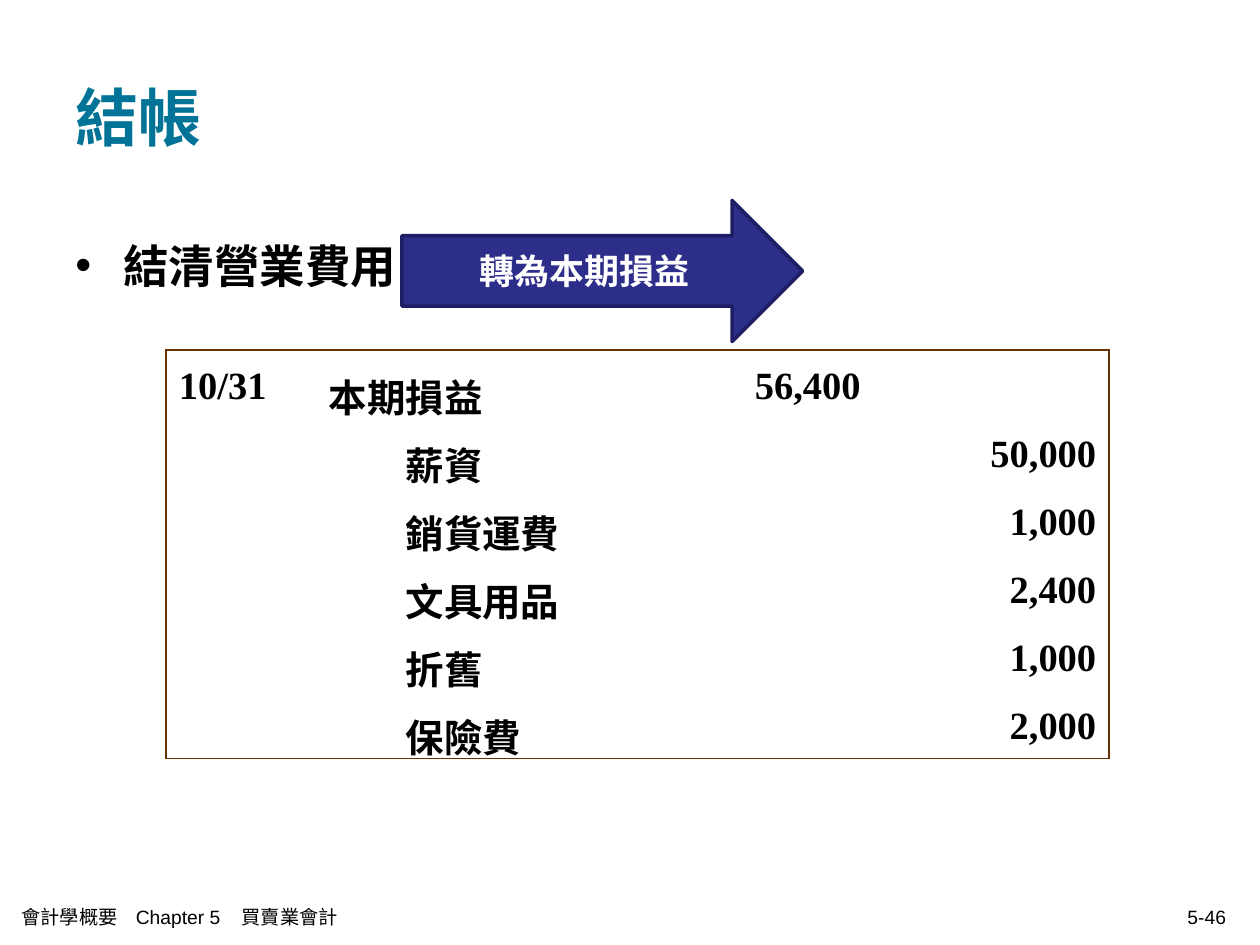
from lxml import etree
from pptx import Presentation
from pptx.dml.color import RGBColor
from pptx.enum.shapes import MSO_SHAPE as Shape
from pptx.enum.text import MSO_ANCHOR as Anchor, PP_ALIGN as Align
from pptx.oxml.ns import qn
from pptx.util import Inches, Pt

TEAL = RGBColor(0x00, 0x73, 0x96)
BLACK = RGBColor(0x00, 0x00, 0x00)
WHITE = RGBColor(0xFF, 0xFF, 0xFF)
NAVY = RGBColor(0x2D, 0x2D, 0x8A)
DARK_NAVY = RGBColor(0x1E, 0x1E, 0x64)
BROWN = RGBColor(0x66, 0x33, 0x00)

NO_TABLE_STYLE = "{2D5ABB26-0587-4C30-8999-92F81FD0307C}"
COLUMN_WIDTHS = (1.19, 2.55, 1.87, 1.87)
ROW_HEIGHT = 0.54
ACCOUNT_INDENT = 0.61
ENTRIES = [
    ("10/31", "本期損益", "56,400", ""),
    ("", "薪資", "", "50,000"),
    ("", "銷貨運費", "", "1,000"),
    ("", "文具用品", "", "2,400"),
    ("", "折舊", "", "1,000"),
    ("", "保險費", "", "2,000"),
]


class SlideBuilder:
    heading_font = "Times New Roman"
    footer_font = "Arial"

    def __init__(self, page):
        self.page = page

    def style(self, para, size, color, align=Align.LEFT, name=None, bold=True):
        para.alignment = align
        font = para.font
        font.name = name or self.heading_font
        font.size = Pt(size)
        font.bold = bold
        font.color.rgb = color

    def text(self, words, place, anchor=Anchor.MIDDLE):
        box = self.page.shapes.add_textbox(*map(Inches, place))
        frame = box.text_frame
        frame.word_wrap = True
        frame.vertical_anchor = anchor
        para = frame.paragraphs[0]
        para.text = words
        return para

    def title(self, words, place):
        self.style(self.text(words, place), 36, TEAL)

    def bullet(self, words, place):
        para = self.text(words, place, Anchor.TOP)
        para.line_spacing = 1.2
        props = para._p.get_or_add_pPr()
        props.set("marL", str(Inches(0.38)))
        props.set("indent", str(-Inches(0.38)))
        etree.SubElement(props, qn("a:buFont"), typeface=self.footer_font)
        etree.SubElement(props, qn("a:buChar"), char="•")
        self.style(para, 26, BLACK)

    def footer(self, words, place, align=Align.LEFT, tabs=()):
        para = self.text(words, place)
        if tabs:
            stops = etree.SubElement(para._p.get_or_add_pPr(), qn("a:tabLst"))
            for stop in tabs:
                etree.SubElement(stops, qn("a:tab"), pos=str(Inches(stop)), algn="l")
        self.style(para, 11, BLACK, align, self.footer_font, bold=False)

    def arrow(self, words, place):
        arrow = self.page.shapes.add_shape(Shape.RIGHT_ARROW, *map(Inches, place))
        arrow.shadow.inherit = False
        arrow.fill.solid()
        arrow.fill.fore_color.rgb = NAVY
        arrow.line.color.rgb = DARK_NAVY
        arrow.line.width = Pt(2)
        arrow.text_frame.vertical_anchor = Anchor.MIDDLE
        para = arrow.text_frame.paragraphs[0]
        para.text = words
        self.style(para, 20, WHITE, Align.CENTER)

    def border(self, cell, sides):
        props = cell._tc.get_or_add_tcPr()
        for side in sides:
            line = etree.SubElement(props, qn(f"a:ln{side}"), w=str(Pt(1.08)))
            fill = etree.SubElement(line, qn("a:solidFill"))
            etree.SubElement(fill, qn("a:srgbClr"), val=str(BROWN))

    def journal(self, entries, left, top):
        """Add the journal entry table, framed on its outer edge only."""
        last_row, last_column = len(entries) - 1, len(COLUMN_WIDTHS) - 1
        frame = self.page.shapes.add_table(
            len(entries), len(COLUMN_WIDTHS), Inches(left), Inches(top),
            Inches(sum(COLUMN_WIDTHS)), Inches(ROW_HEIGHT * len(entries)))
        table = frame.table
        table.first_row = table.horz_banding = False
        table._tbl.tblPr.find(qn("a:tableStyleId")).text = NO_TABLE_STYLE
        for column, width in zip(table.columns, COLUMN_WIDTHS):
            column.width = Inches(width)
        for r, entry in enumerate(entries):
            table.rows[r].height = Inches(ROW_HEIGHT)
            for c, words in enumerate(entry):
                cell = table.cell(r, c)
                edges = {"L": c == 0, "R": c == last_column,
                         "T": r == 0, "B": r == last_row}
                self.border(cell, [side for side, outer in edges.items() if outer])
                cell.fill.background()
                if not words:
                    continue
                para = cell.text_frame.paragraphs[0]
                para.text = words
                para.line_spacing = 1.2
                if c == 1 and r > 0:
                    para._p.get_or_add_pPr().set("marL", str(Inches(ACCOUNT_INDENT)))
                self.style(para, 22, BLACK, Align.RIGHT if c > 1 else Align.LEFT)


def main():
    deck = Presentation()
    deck.slide_width, deck.slide_height = Inches(10), Inches(7.5)
    slide = SlideBuilder(deck.slides.add_slide(deck.slide_layouts[6]))
    slide.title("結帳", (0.5, 0.3, 9, 1.25))
    slide.bullet("結清營業費用", (0.5, 1.75, 9, 4.95))
    slide.journal(ENTRIES, 1.32, 2.78)
    slide.arrow("轉為本期損益", (3.19, 1.59, 3.18, 1.12))
    slide.footer("會計學概要\tChapter 5\t買賣業會計", (0.07, 7.11, 5.1, 0.33),
                 tabs=(0.91, 1.75))
    slide.footer("5-46", (7.5, 7.11, 2.33, 0.33), Align.RIGHT)
    deck.save("out.pptx")


if __name__ == "__main__":
    main()
